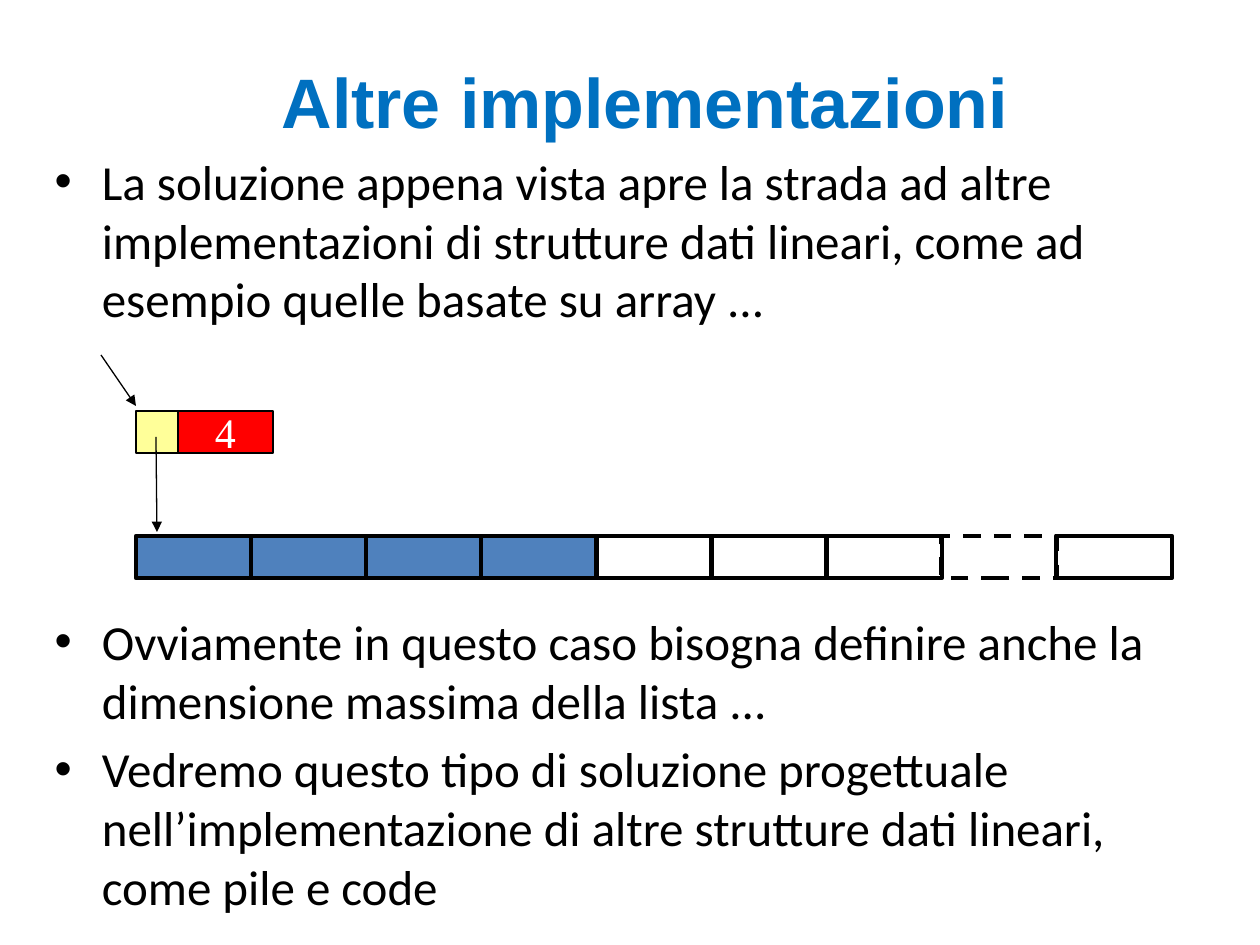
from lxml.etree import SubElement
from pptx import Presentation
from pptx.dml.color import RGBColor
from pptx.enum.dml import MSO_LINE
from pptx.enum.shapes import MSO_CONNECTOR, MSO_SHAPE
from pptx.enum.text import MSO_ANCHOR, MSO_AUTO_SIZE, PP_ALIGN
from pptx.oxml.ns import qn
from pptx.util import Pt

PX = 914400 / 126


def px(*lengths):
    """Turn pixel lengths into EMU."""
    return [round(length * PX) for length in lengths]


def color(value):
    return RGBColor.from_string(value)


deck = Presentation()
deck.slide_width, deck.slide_height = px(1260, 945)
page = deck.slides.add_slide(deck.slide_layouts[1])

# Title and bullet list
title, body = page.placeholders
title.left, title.top, title.width, title.height = px(58, 26, 1174, 150)
title.text_frame.text = "Altre implementazioni"
title.text_frame.vertical_anchor = MSO_ANCHOR.MIDDLE
title_paragraph = title.text_frame.paragraphs[0]
title_paragraph.alignment = PP_ALIGN.CENTER
title_font = title_paragraph.runs[0].font
title_font.name, title_font.size, title_font.bold = "Arial", Pt(40), True
title_font.color.rgb = color("0070C0")

body.left, body.top, body.width, body.height = px(42, 145, 1189, 752)
body.text_frame.text = "\n".join([
    "La soluzione appena vista apre la strada ad altre implementazioni di "
    "strutture dati lineari, come ad esempio quelle basate su array ...",
    "Ovviamente in questo caso bisogna definire anche la dimensione massima "
    "della lista ...",
    "Vedremo questo tipo di soluzione progettuale nell’implementazione di "
    "altre strutture dati lineari, come pile e code",
])
body.text_frame.auto_size = MSO_AUTO_SIZE.NONE
for paragraph in body.text_frame.paragraphs:
    span = paragraph.runs[0]
    span.font.name, span.font.size = "Calibri", Pt(28)
    span.font.color.rgb = color("000000")
# Room for the diagram above the second bullet
body.text_frame.paragraphs[1].space_before = Pt(162)

# List record and array cells: left, top, width, fill, line width, dashed
CELL_LEFT, CELL_STEP, CELL_WIDTH, CELL_HEIGHT = 136, 115, 116, 42
RECORD_TOP, ARRAY_TOP = 411, 536
USED, DASHED = 4, 7
boxes = [
    (CELL_LEFT, RECORD_TOP, 42, "FFFF99", 0.75, False),
    (178, RECORD_TOP, 95, "FF0000", 0.75, False),
]
for index in [0, 1, 2, 3, 4, 5, 6, 8, DASHED]:
    boxes.append((CELL_LEFT + index * CELL_STEP, ARRAY_TOP, CELL_WIDTH,
                  "4F81BD" if index < USED else None, 2.5, index == DASHED))

cells = []
for left, top, width, fill, line_width, dashed in boxes:
    cell = page.shapes.add_shape(MSO_SHAPE.RECTANGLE,
                                 *px(left, top, width, CELL_HEIGHT))
    cell.shadow.inherit = False
    if fill:
        cell.fill.solid()
        cell.fill.fore_color.rgb = color(fill)
    else:
        cell.fill.background()
    cell.line.color.rgb = color("000000")
    cell.line.width = Pt(line_width)
    if dashed:
        cell.line.dash_style = MSO_LINE.DASH
    cells.append(cell)

count = cells[1].text_frame
count.text = "4"
count.word_wrap = False
count.vertical_anchor = MSO_ANCHOR.MIDDLE
count.paragraphs[0].alignment = PP_ALIGN.CENTER
count_font = count.paragraphs[0].runs[0].font
count_font.name, count_font.size = "Times New Roman", Pt(24)
count_font.color.rgb = color("FFFFFF")

# Pointers to the record and to the array
for ends in [(101, 355, 136, 406), (156, 437, 157, 532)]:
    pointer = page.shapes.add_connector(MSO_CONNECTOR.STRAIGHT, *px(*ends))
    pointer.line.color.rgb = color("000000")
    pointer.line.width = Pt(0.75)
    SubElement(pointer.line._get_or_add_ln(), qn("a:tailEnd"), type="triangle")
    SubElement(pointer._element.spPr, qn("a:effectLst"))

deck.save("out.pptx")
